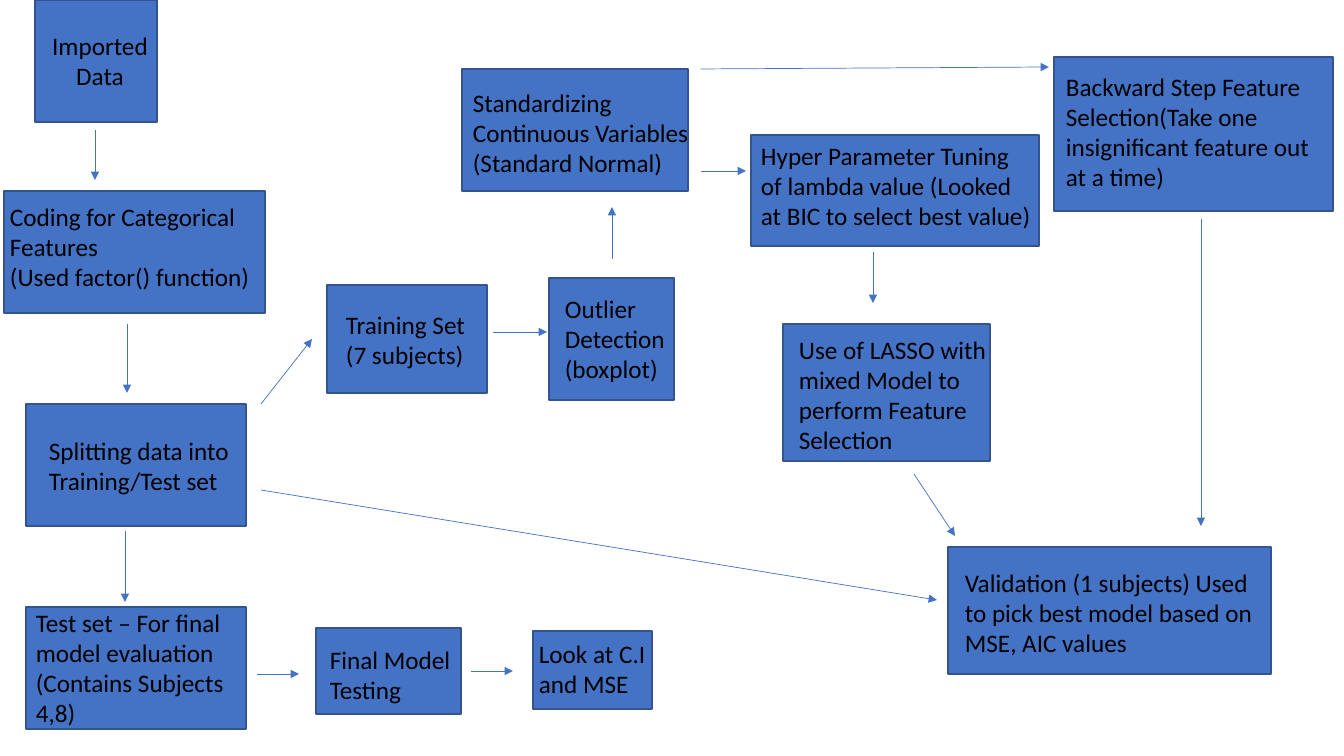
from lxml import etree
from pptx import Presentation
from pptx.dml.color import RGBColor
from pptx.enum.shapes import MSO_CONNECTOR, MSO_SHAPE
from pptx.enum.text import MSO_AUTO_SIZE, PP_ALIGN
from pptx.oxml.ns import qn
from pptx.util import Pt

RECTANGLE = MSO_SHAPE.RECTANGLE
STRAIGHT = MSO_CONNECTOR.STRAIGHT
GROW = MSO_AUTO_SIZE.SHAPE_TO_FIT_TEXT
LEFT, CENTER = PP_ALIGN.LEFT, PP_ALIGN.CENTER

BLUE = RGBColor(0x44, 0x72, 0xC4)
DARK_BLUE = RGBColor(0x32, 0x54, 0x91)
BLACK = RGBColor(0, 0, 0)

EMU_PER_PIXEL = 914400 / 100.8

# Each step: box (left, top, width, height), label in the same order, paragraphs
STEPS = [
    ((4, 191, 261, 122), (0, 196, 261, 132),
     ["Coding for Categorical Features", "(Used factor() function)"]),
    ((26, 404, 220, 122), (39, 430, 207, 72),
     ["Splitting data into Training/Test set"]),
    ((327, 285, 160, 108), (336, 304, 164, 72), ["Training Set (7 subjects)"]),
    ((549, 278, 125, 122), (555, 288, 135, 102), ["Outlier Detection (boxplot)"]),
    ((462, 69, 226, 122), (463, 82, 237, 102),
     ["Standardizing", "Continuous Variables (Standard Normal)"]),
    ((751, 135, 288, 111), (751, 135, 291, 102),
     ["Hyper Parameter Tuning of lambda value (Looked at BIC to select best value)"]),
    ((783, 324, 207, 137), (789, 329, 220, 132),
     ["Use of LASSO with mixed Model to perform Feature Selection"]),
    ((1054, 57, 279, 154), (1056, 66, 277, 132),
     ["Backward Step Feature Selection(Take one insignificant feature out at a time)"]),
    ((948, 547, 323, 127), (955, 562, 316, 102),
     ["Validation (1 subjects) Used to pick best model based on MSE, AIC values"]),
    ((26, 607, 220, 122), (26, 602, 234, 132),
     ["Test set – For final model evaluation (Contains Subjects 4,8)"]),
    ((316, 628, 145, 86), (320, 639, 165, 72), ["Final Model Testing"]),
    ((533, 631, 119, 78), (529, 633, 165, 72), ["Look at C.I and MSE"]),
]

# Each arrow: start x, start y, end x, end y
ARROWS = [
    (95, 130, 95, 180),      # imported data to coding
    (127, 324, 127, 393),    # coding to splitting
    (261, 404, 312, 339),    # splitting to training set
    (261, 490, 937, 600),    # splitting to validation
    (125, 531, 125, 602),    # splitting to test set
    (493, 332, 547, 332),    # training set to outliers
    (612, 259, 612, 207),    # outliers to standardizing
    (701, 171, 746, 171),    # standardizing to tuning
    (701, 69, 1049, 67),     # standardizing to backward step
    (873, 252, 873, 303),    # tuning to LASSO
    (914, 474, 955, 536),    # LASSO to validation
    (1201, 219, 1201, 526),  # backward step to validation
    (257, 674, 299, 674),    # test set to final testing
    (471, 671, 513, 671),    # final testing to C.I and MSE
]


def px(*lengths):
    return [round(length * EMU_PER_PIXEL) for length in lengths]


def add_label(slide, area, paragraphs, size=18, font="Calibri", color=BLACK,
              align=LEFT):
    frame = slide.shapes.add_textbox(*px(*area)).text_frame
    frame.word_wrap = True
    frame.auto_size = GROW
    frame.text = "\n".join(paragraphs)
    for paragraph in frame.paragraphs:
        paragraph.alignment = align
        paragraph.font.size = Pt(size)
        paragraph.font.name = font
        paragraph.font.color.rgb = color


def add_box(slide, area):
    box = slide.shapes.add_shape(RECTANGLE, *px(*area))
    box.shadow.inherit = False
    box.fill.solid()
    box.fill.fore_color.rgb = BLUE
    box.line.color.rgb = DARK_BLUE
    box.line.width = Pt(1)


def add_step(slide, box_area, label_area, paragraphs, **text_format):
    add_box(slide, box_area)
    add_label(slide, label_area, paragraphs, **text_format)


def add_arrow(slide, ends):
    arrow = slide.shapes.add_connector(STRAIGHT, *px(*ends))
    arrow.line.color.rgb = BLUE
    arrow.line.width = Pt(0.5)
    etree.SubElement(arrow.line._get_or_add_ln(), qn("a:tailEnd"), type="triangle")
    etree.SubElement(arrow._element.spPr, qn("a:effectLst"))


def main():
    deck = Presentation()
    deck.slide_width, deck.slide_height = px(1344, 756)
    slide = deck.slides.add_slide(deck.slide_layouts[6])

    # Steps of the modelling workflow
    add_step(slide, (35, 0, 122, 122), (26, 25, 148, 72), ["Imported Data"],
             align=CENTER)
    for box_area, label_area, paragraphs in STEPS:
        add_step(slide, box_area, label_area, paragraphs)

    # Flow between the steps
    for ends in ARROWS:
        add_arrow(slide, ends)

    deck.save("out.pptx")


main()
